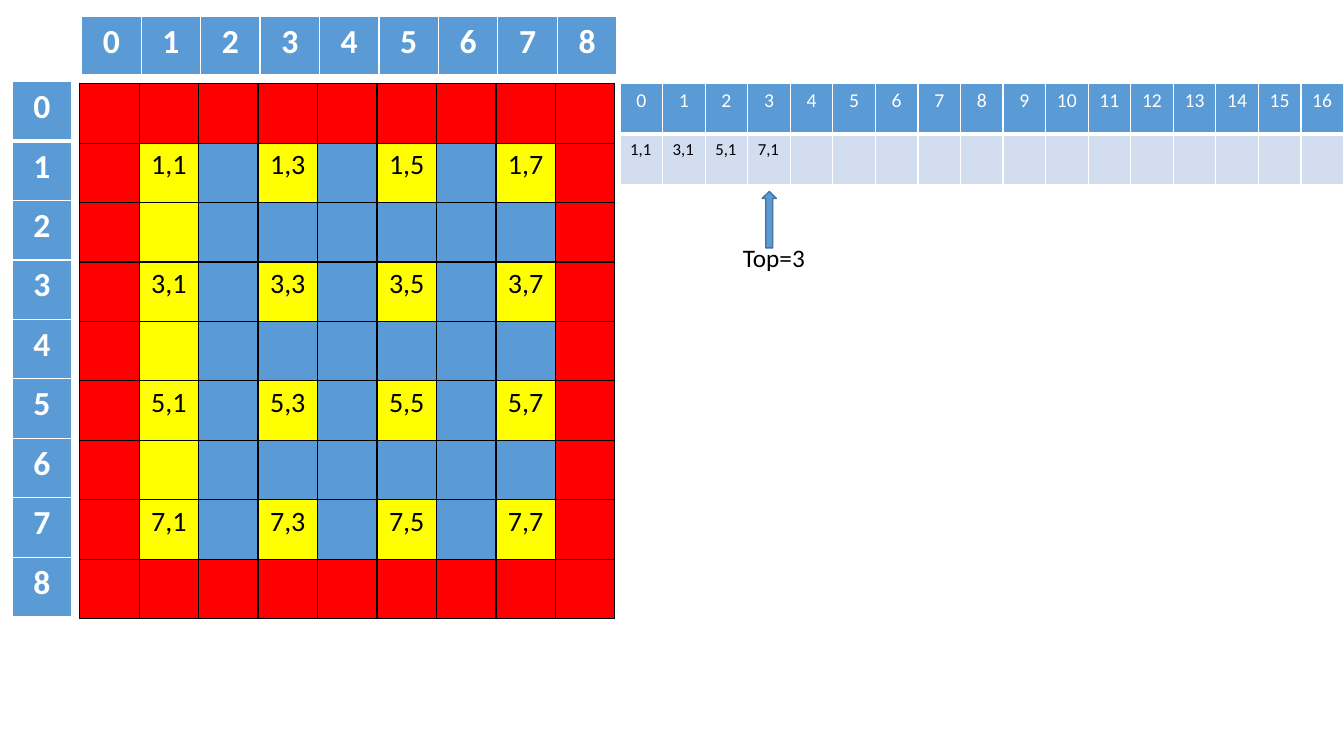
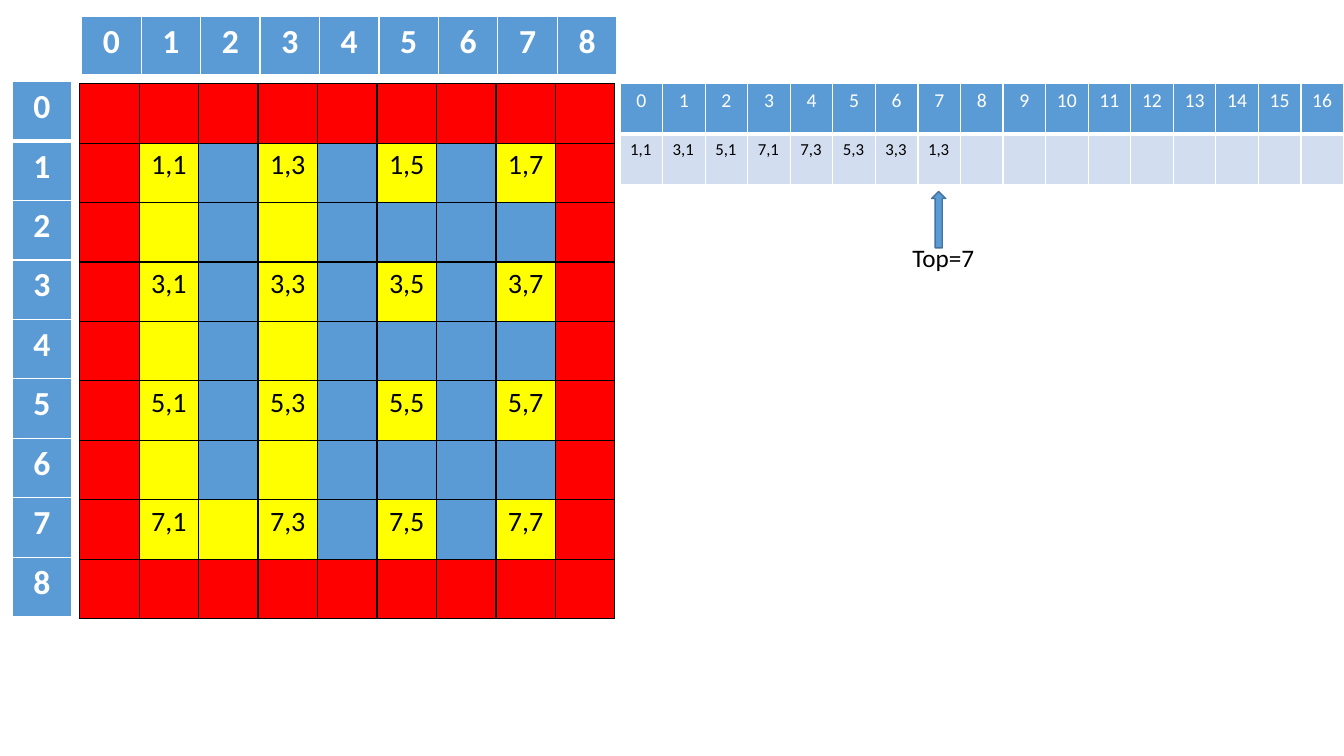
from collections import namedtuple

from lxml.etree import SubElement
from pptx import Presentation
from pptx.dml.color import RGBColor
from pptx.enum.shapes import MSO_SHAPE
from pptx.enum.text import MSO_AUTO_SIZE, PP_ALIGN
from pptx.oxml.ns import qn
from pptx.util import Inches, Pt

BLACK = RGBColor(0x00, 0x00, 0x00)
WHITE = RGBColor(0xFF, 0xFF, 0xFF)
WALL_RED = RGBColor(0xFF, 0x00, 0x00)
PATH_YELLOW = RGBColor(0xFF, 0xFF, 0x00)
BLUE = RGBColor(0x5B, 0x9B, 0xD5)
DARK_BLUE = RGBColor(0x43, 0x73, 0x9E)
PALE_BLUE = RGBColor(0xD2, 0xDE, 0xEF)

FONT = "Calibri"
MAZE_SIZE = 9
MAZE_SIDE = 5.31
STACK_SIZE = 17
STACK_COL = 0.42

VISITED_DOWN = [(1, 1), (3, 1), (5, 1), (7, 1)]
VISITED_BACK = [(7, 3), (5, 3), (3, 3), (1, 3)]

Cell = namedtuple("Cell", "text fill style")
INDEX_STYLE = dict(size=24, color=WHITE, bold=True, align=PP_ALIGN.CENTER)
ROOM_STYLE = dict(size=20, align=PP_ALIGN.CENTER)
STACK_INDEX_STYLE = dict(size=14, color=WHITE, align=PP_ALIGN.CENTER)
STACK_ITEM_STYLE = dict(size=12)


def write(tf, text, size=18, color=BLACK, bold=False, align=PP_ALIGN.LEFT):
    p = tf.paragraphs[0]
    p.alignment = align
    r = p.add_run()
    r.text = text
    r.font.name = FONT
    r.font.size = Pt(size)
    r.font.bold = bold
    r.font.color.rgb = color


def set_borders(cell, color, **widths):
    """Draw cell borders; widths maps L, R, T and B, in that order, to points."""
    tc_pr = cell._tc.get_or_add_tcPr()
    for side, width in widths.items():
        ln = SubElement(tc_pr, qn(f"a:ln{side}"), w=str(Pt(width)))
        fill = SubElement(ln, qn("a:solidFill"))
        SubElement(fill, qn("a:srgbClr"), val=str(color))


def label(place):
    return "{},{}".format(*place)


def passages(visited):
    """Return the cells opened between consecutive visited rooms."""
    return {((r1 + r2) // 2, (c1 + c2) // 2)
            for (r1, c1), (r2, c2) in zip(visited, visited[1:])}


def maze_cell(row, col, opened):
    if {row, col} & {0, MAZE_SIZE - 1}:
        return Cell("", WALL_RED, ROOM_STYLE)
    if row % 2 and col % 2:
        return Cell(label((row, col)), PATH_YELLOW, ROOM_STYLE)
    return Cell("", PATH_YELLOW if (row, col) in opened else BLUE, ROOM_STYLE)


class MazeDeck:
    def __init__(self):
        self.prs = Presentation()
        self.prs.slide_width = Inches(13.33)
        self.prs.slide_height = Inches(7.5)
        self.s = None

    def new_slide(self):
        self.s = self.prs.slides.add_slide(self.prs.slide_layouts[6])

    def table(self, left, top, width, height, rows, line=WHITE, header=True):
        """Add a table of Cells; a header row has a thick line below it."""
        n_rows, n_cols = len(rows), len(rows[0])
        table = self.s.shapes.add_table(
            n_rows, n_cols, Inches(left), Inches(top),
            Inches(width), Inches(height)).table
        table.first_row = table.horz_banding = False
        for col in table.columns:
            col.width = Inches(width / n_cols)
        for i, row in enumerate(rows):
            table.rows[i].height = Inches(height / n_rows)
            for j, item in enumerate(row):
                cell = table.cell(i, j)
                set_borders(cell, line, L=1, R=1,
                            T=3 if header and i == 1 else 1,
                            B=3 if header and i == 0 else 1)
                cell.fill.solid()
                cell.fill.fore_color.rgb = item.fill
                if item.text:
                    write(cell.text_frame, item.text, **item.style)

    def maze(self, visited):
        opened = passages(visited)
        span = range(MAZE_SIZE)
        indexes = [Cell(str(i), BLUE, INDEX_STYLE) for i in span]
        cell_side = MAZE_SIDE / MAZE_SIZE
        self.table(0.79, 0.83, MAZE_SIDE, MAZE_SIDE,
                   [[maze_cell(i, j, opened) for j in span] for i in span],
                   line=BLACK, header=False)
        self.table(0.81, 0.16, MAZE_SIDE, cell_side, [indexes])
        self.table(0.12, 0.81, cell_side, MAZE_SIDE, [[c] for c in indexes])

    def stack(self, visited):
        items = [label(place) for place in visited]
        items += [""] * (STACK_SIZE - len(items))
        self.table(6.15, 0.83, 7.18, 1, [
            [Cell(str(i), BLUE, STACK_INDEX_STYLE) for i in range(STACK_SIZE)],
            [Cell(item, PALE_BLUE, STACK_ITEM_STYLE) for item in items]])

    def top_pointer(self, top):
        left = 6.3 + STACK_COL * top
        group = self.s.shapes.add_group_shape()
        arrow = group.shapes.add_shape(
            MSO_SHAPE.UP_ARROW, Inches(left), Inches(1.9),
            Inches(0.14), Inches(0.56))
        arrow.shadow.inherit = False
        arrow.fill.solid()
        arrow.fill.fore_color.rgb = BLUE
        arrow.line.color.rgb = DARK_BLUE
        arrow.line.width = Pt(1)
        box = group.shapes.add_textbox(
            Inches(left - 0.29), Inches(2.36), Inches(0.82), Inches(0.4))
        tf = box.text_frame
        tf.word_wrap = False
        tf.auto_size = MSO_AUTO_SIZE.SHAPE_TO_FIT_TEXT
        write(tf, f"Top={top}")


def main():
    deck = MazeDeck()
    for visited in (VISITED_DOWN, VISITED_DOWN + VISITED_BACK):
        deck.new_slide()
        deck.maze(visited)
        deck.stack(visited)
        deck.top_pointer(len(visited) - 1)
    deck.prs.save("out.pptx")


if __name__ == "__main__":
    main()
